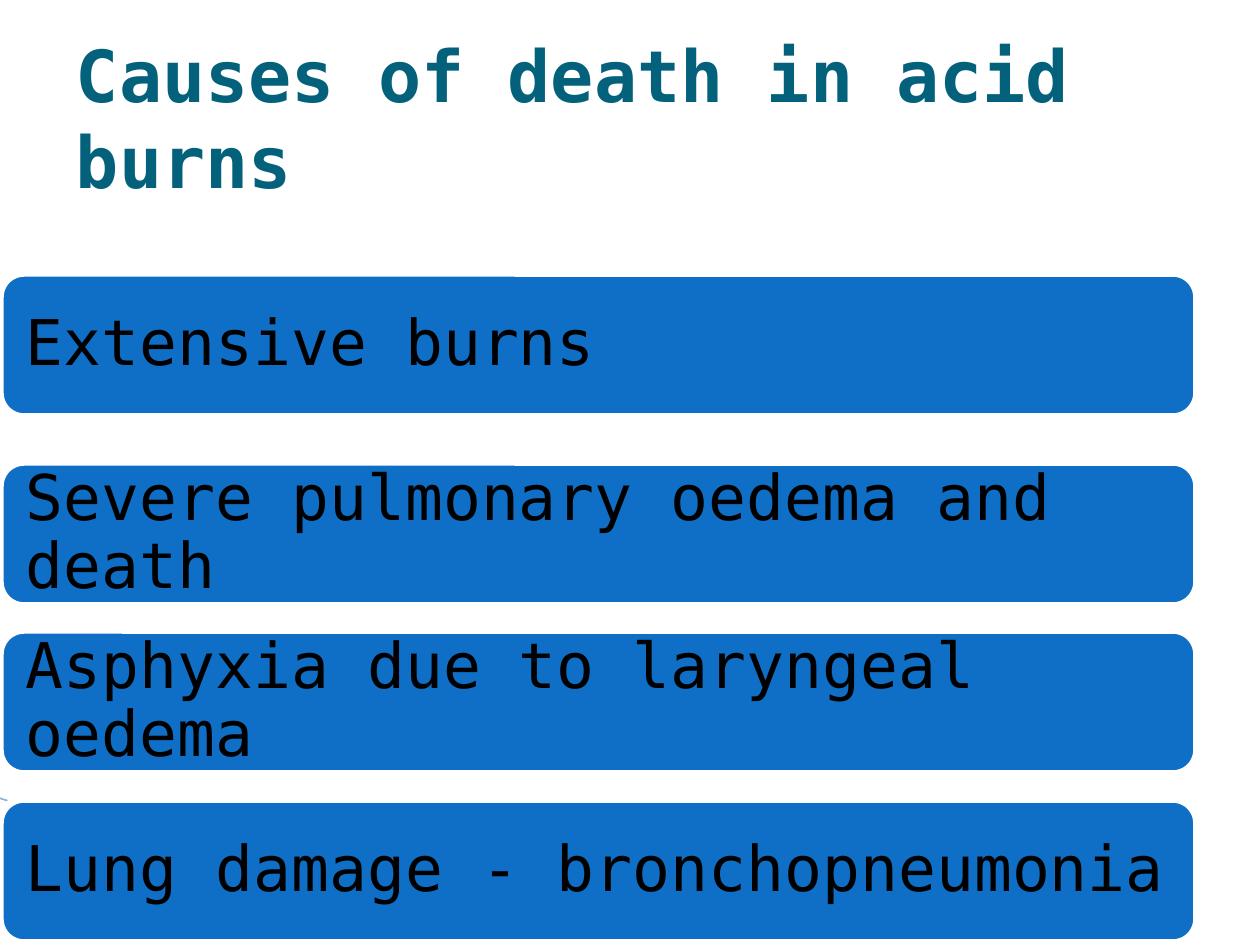
from pptx import Presentation
from pptx import util as u
from pptx.dml.color import RGBColor
from pptx.enum import shapes, text
from pptx.oxml.ns import qn
from lxml import etree

PX = 914400 / 126
FONT = "DejaVu Sans Mono"
CAUSES = [
    (273, "Extensive burns"),
    (462, "Severe pulmonary oedema and death"),
    (630, "Asphyxia due to laryngeal oedema"),
    (799, "Lung damage - bronchopneumonia"),
]


def px(n):
    return u.Emu(round(n * PX))


def rgb(color):
    return RGBColor.from_string(color)


def write(sp, words, size, color, bold, inset):
    tf = sp.text_frame
    frame = dict(word_wrap=True, auto_size=text.MSO_AUTO_SIZE.NONE,
                 vertical_anchor=text.MSO_ANCHOR.MIDDLE)
    for side in ("left", "top", "right", "bottom"):
        frame["margin_" + side] = px(inset)
    for name, value in frame.items():
        setattr(tf, name, value)
    p = tf.paragraphs[0]
    p.alignment = text.PP_ALIGN.LEFT
    r = p.add_run()
    r.text = words
    for name, value in dict(name=FONT, size=u.Pt(size), bold=bold).items():
        setattr(r.font, name, value)
    r.font.color.rgb = rgb(color)
    return p


def add_title(s, x, y, w, h):
    sp = s.shapes.title
    sp.left, sp.top, sp.width, sp.height = map(px, (x, y, w, h))
    write(sp, "Causes of death in acid burns", 41, "04617B", True, 13)


def add_accent_line(s, x, y, w, h):
    line = s.shapes.add_connector(shapes.MSO_CONNECTOR.STRAIGHT,
                                  px(x), px(y), px(x + w), px(y + h))
    line.line.color.rgb = rgb("94ABDC")
    line.line.width = u.Pt(0.95)
    etree.SubElement(line._element.spPr, qn("a:effectLst"))


def add_cause_bar(s, x, y, w, h, words):
    sp = s.shapes.add_shape(shapes.MSO_SHAPE.ROUNDED_RECTANGLE,
                            px(x), px(y), px(w), px(h))
    sp.shadow.inherit = False
    sp.fill.solid()
    sp.fill.fore_color.rgb = rgb("0F6FC6")
    sp.line.color.rgb = rgb("FFFFFF")
    sp.line.width = u.Pt(4.33)
    p = write(sp, words, 36, "000000", False, 19)
    p.line_spacing = 0.9


def main():
    prs = Presentation()
    prs.slide_width, prs.slide_height = px(1260), px(945)
    s = prs.slides.add_slide(prs.slide_layouts[5])
    add_accent_line(s, -1, 798, 469, 150)
    for top, words in CAUSES:
        add_cause_bar(s, 0, top, 1197, 144, words)
    add_title(s, 63, 38, 1134, 158)
    prs.save("out.pptx")


if __name__ == "__main__":
    main()
